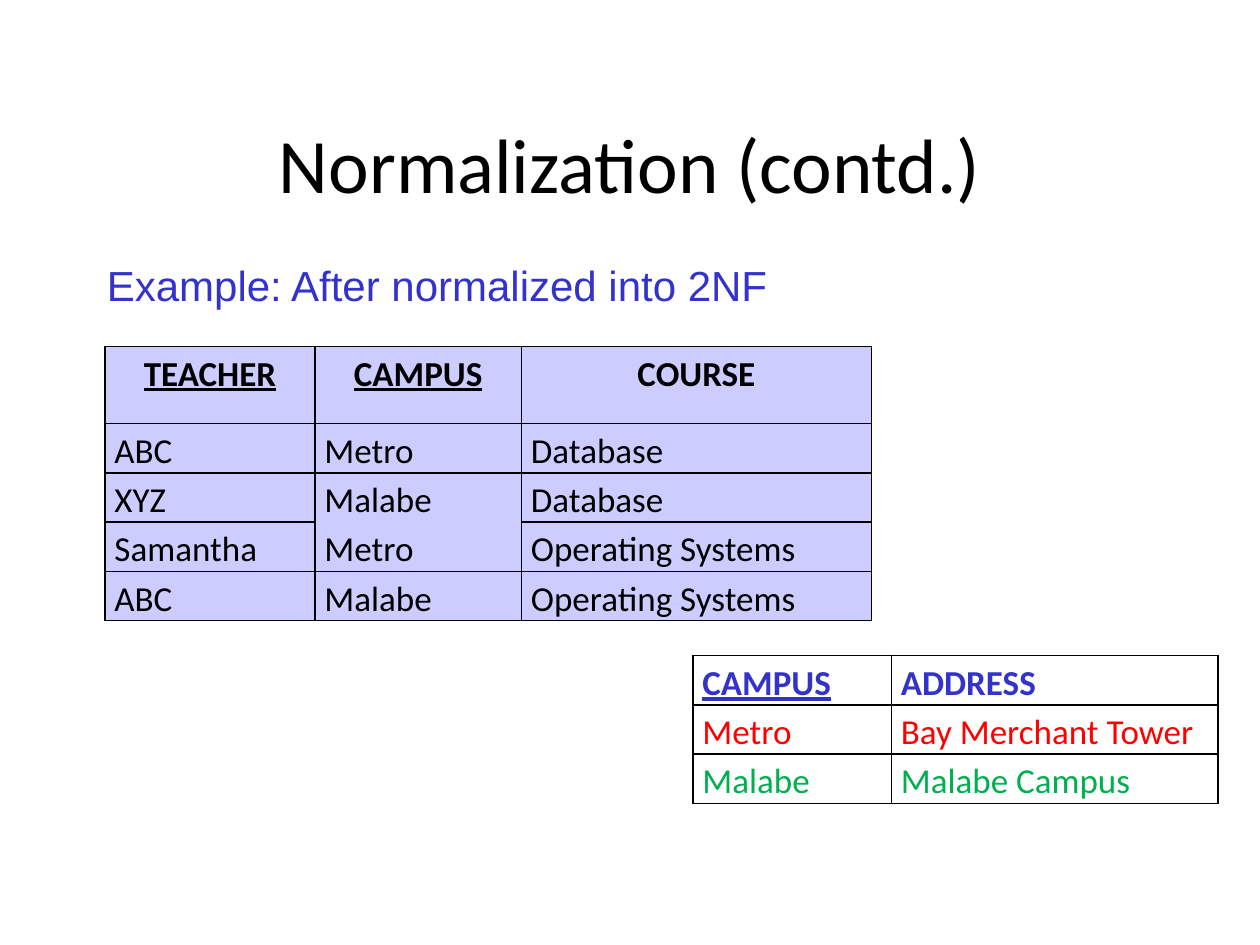
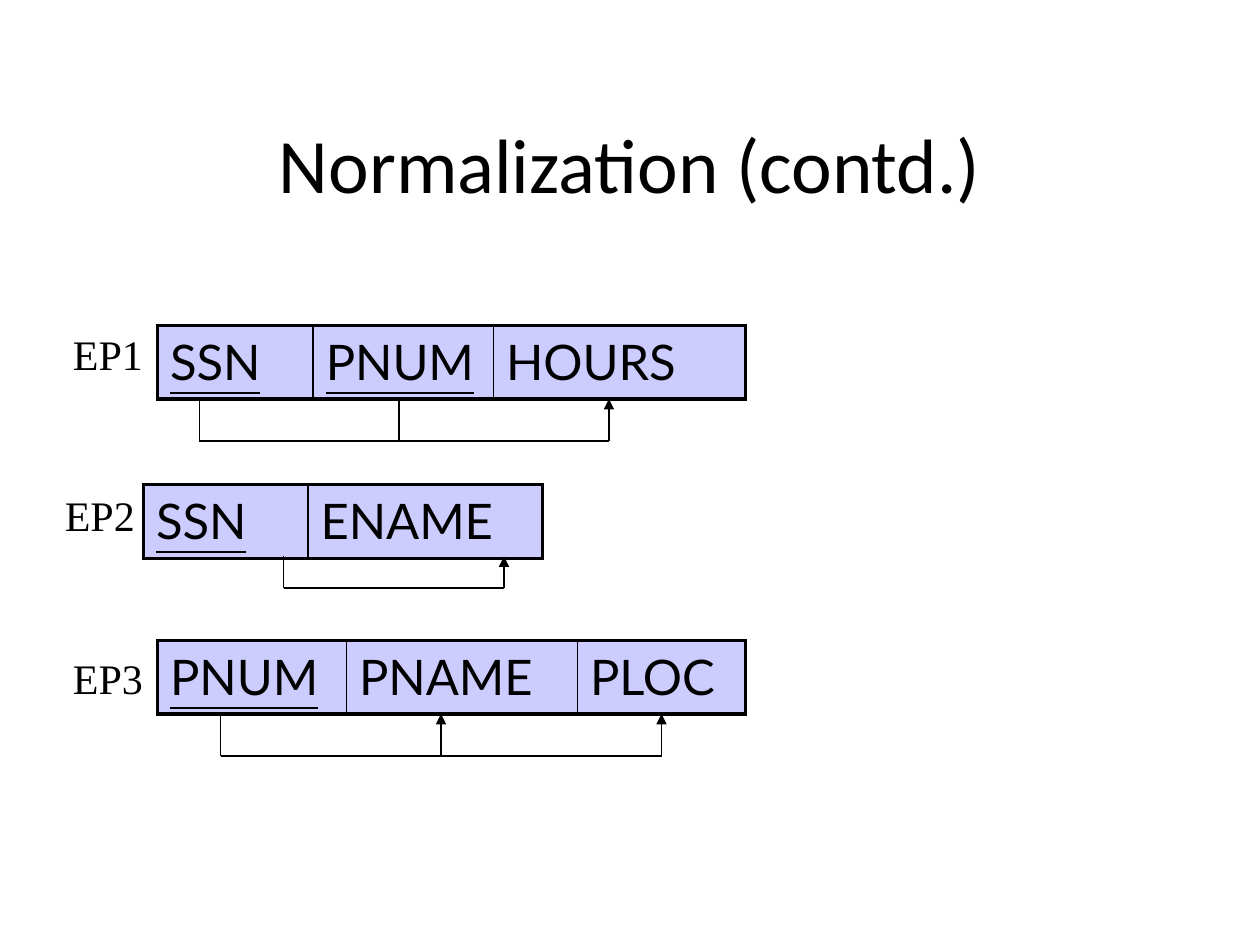
from lxml import etree
from pptx import Presentation
from pptx.dml.color import RGBColor
from pptx.enum.shapes import MSO_CONNECTOR
from pptx.enum.text import MSO_ANCHOR, MSO_AUTO_SIZE, PP_ALIGN
from pptx.oxml.ns import qn
from pptx.util import Pt

BLACK = RGBColor(0x00, 0x00, 0x00)
LAVENDER = RGBColor(0xCC, 0xCC, 0xFF)
BLUE = RGBColor(0x33, 0x33, 0xCC)
RED = RGBColor(0xFF, 0x00, 0x00)
GREEN = RGBColor(0x00, 0xB0, 0x50)

TITLE = "Normalization (contd.)"
THIN, THICK = 1, 2.25


def style_paragraph(p, font, size, color=BLACK, bold=False, underline=False):
    p.font.name = font
    p.font.size = Pt(size)
    p.font.color.rgb = color
    p.font.bold = bold
    p.font.underline = underline


def add_titled_slide(prs):
    slide = prs.slides.add_slide(prs.slide_layouts[5])
    title = slide.shapes.title
    title.left, title.top, title.width, title.height = Pt(36), Pt(48), Pt(648), Pt(90)
    tf = title.text_frame
    tf.text = TITLE
    tf.vertical_anchor = MSO_ANCHOR.MIDDLE
    p = tf.paragraphs[0]
    p.alignment = PP_ALIGN.CENTER
    style_paragraph(p, "Calibri", 44)
    return slide


def add_text(slide, text, left, top, width, font, color=BLACK, wrap=True):
    tf = slide.shapes.add_textbox(Pt(left), Pt(top), Pt(width), Pt(36)).text_frame
    tf.word_wrap = wrap
    tf.auto_size = MSO_AUTO_SIZE.SHAPE_TO_FIT_TEXT
    tf.text = text
    style_paragraph(tf.paragraphs[0], font, 24, color)


def add_plain_table(slide, left, top, col_widths, row_heights):
    """Add a table without banding or header styling."""
    table = slide.shapes.add_table(
        len(row_heights), len(col_widths), Pt(left), Pt(top),
        Pt(sum(col_widths)), Pt(sum(row_heights))).table
    table.first_row = table.horz_banding = False
    for column, width in zip(table.columns, col_widths):
        column.width = Pt(width)
    for row, height in zip(table.rows, row_heights):
        row.height = Pt(height)
    return table


def set_borders(cell, left=THIN, right=THIN, top=THIN, bottom=THIN):
    """Draw black cell borders of the given widths; 0 hides a side."""
    tc_pr = cell._tc.get_or_add_tcPr()
    for i, (side, width) in enumerate(zip("LRTB", (left, right, top, bottom))):
        ln = etree.Element(qn(f"a:ln{side}"), w=str(int(Pt(width))))
        if width:
            fill = etree.SubElement(ln, qn("a:solidFill"))
            etree.SubElement(fill, qn("a:srgbClr"), val=str(BLACK))
        else:
            etree.SubElement(ln, qn("a:noFill"))
        tc_pr.insert(i, ln)


def add_data_table(slide, left, top, col_widths, row_heights, rows, keys,
                   row_colors, fill=None, header_align=PP_ALIGN.LEFT, open_cells=()):
    """Fill a grid whose key headers are underlined.

    open_cells lists (row, column) cells with no line below them.
    """
    table = add_plain_table(slide, left, top, col_widths, row_heights)
    for i, (texts, color) in enumerate(zip(rows, row_colors)):
        header = i == 0
        for j, text in enumerate(texts):
            cell = table.cell(i, j)
            set_borders(cell, top=0 if (i - 1, j) in open_cells else THIN,
                        bottom=0 if (i, j) in open_cells else THIN)
            if fill is None:
                cell.fill.background()
            else:
                cell.fill.solid()
                cell.fill.fore_color.rgb = fill
            cell.margin_left = cell.margin_right = Pt(5.4)
            cell.margin_top = cell.margin_bottom = 0
            cell.text = text
            p = cell.text_frame.paragraphs[0]
            p.line_spacing = 1.15
            p.alignment = header_align if header else PP_ALIGN.LEFT
            style_paragraph(p, "Calibri", 20, color, header, header and text in keys)


def add_relation(slide, left, top, columns, keys):
    """Draw a relation schema as one row of (attribute, width) cells."""
    table = add_plain_table(slide, left, top, [width for _, width in columns], [42])
    last = len(columns) - 1
    for j, (name, _) in enumerate(columns):
        cell = table.cell(0, j)
        set_borders(cell, THICK if j == 0 else THIN, THICK if j == last else THIN,
                    THICK, THICK)
        cell.fill.solid()
        cell.fill.fore_color.rgb = LAVENDER
        cell.text = name
        style_paragraph(cell.text_frame.paragraphs[0], "Lato", 28, underline=name in keys)


def add_line(slide, x1, y1, x2, y2, arrow=False):
    line = slide.shapes.add_connector(MSO_CONNECTOR.STRAIGHT, Pt(x1), Pt(y1), Pt(x2), Pt(y2))
    line.line.color.rgb = BLACK
    line.line.width = Pt(0.75)
    if arrow:
        etree.SubElement(line.line._get_or_add_ln(), qn("a:tailEnd"), type="triangle")
    etree.SubElement(line._element.spPr, qn("a:effectLst"))


def add_dependency(slide, top, bottom, sources, targets):
    """Link determining attributes to dependent ones, with arrows at the latter."""
    for x in sources:
        add_line(slide, x, top, x, bottom)
    add_line(slide, min(sources), bottom, max(targets), bottom)
    for x in targets:
        add_line(slide, x, bottom, x, top, arrow=True)


def build_second_form(prs):
    slide = add_titled_slide(prs)
    campuses = [("CAMPUS", "ADDRESS"),
                ("Metro", "Bay Merchant Tower"),
                ("Malabe", "Malabe Campus")]
    add_data_table(slide, 396, 374.6, [113.4, 186.6], [28.2] * 3, campuses,
                   {"CAMPUS"}, [BLUE, RED, GREEN])
    courses = [("TEACHER", "CAMPUS", "COURSE"),
               ("ABC", "Metro", "Database"),
               ("XYZ", "Malabe", "Database"),
               ("Samantha", "Metro", "Operating Systems"),
               ("ABC", "Malabe", "Operating Systems")]
    add_data_table(slide, 60, 198, [120, 118, 200], [44] + [28.2] * 4, courses,
                   {"TEACHER", "CAMPUS"}, [BLACK] * 5, LAVENDER, PP_ALIGN.CENTER,
                   open_cells={(2, 1)})
    add_text(slide, "Example: After normalized into 2NF", 54, 145, 468, "Arial", BLUE)


def build_dependencies(prs):
    slide = add_titled_slide(prs)
    add_relation(slide, 90, 186, [("SSN", 89), ("PNUM", 103), ("HOURS", 144)],
                 {"SSN", "PNUM"})
    add_relation(slide, 82, 277, [("SSN", 94), ("ENAME", 134)], {"SSN"})
    add_relation(slide, 90, 366, [("PNUM", 108), ("PNAME", 132), ("PLOC", 96)], {"PNUM"})

    for label, left, top in [("EP1", 34.6, 184), ("EP2", 30, 276), ("EP3", 34.6, 369.5)]:
        add_text(slide, label, left, top, 54.7, "Times New Roman", wrap=False)

    add_dependency(slide, 228, 252, [114, 228], [348])
    add_dependency(slide, 318, 336, [162], [288])
    add_dependency(slide, 408, 432, [126], [252, 378])


def main():
    prs = Presentation()
    prs.slide_width, prs.slide_height = Pt(720), Pt(540)
    build_second_form(prs)
    build_dependencies(prs)
    prs.save("out.pptx")


if __name__ == "__main__":
    main()
